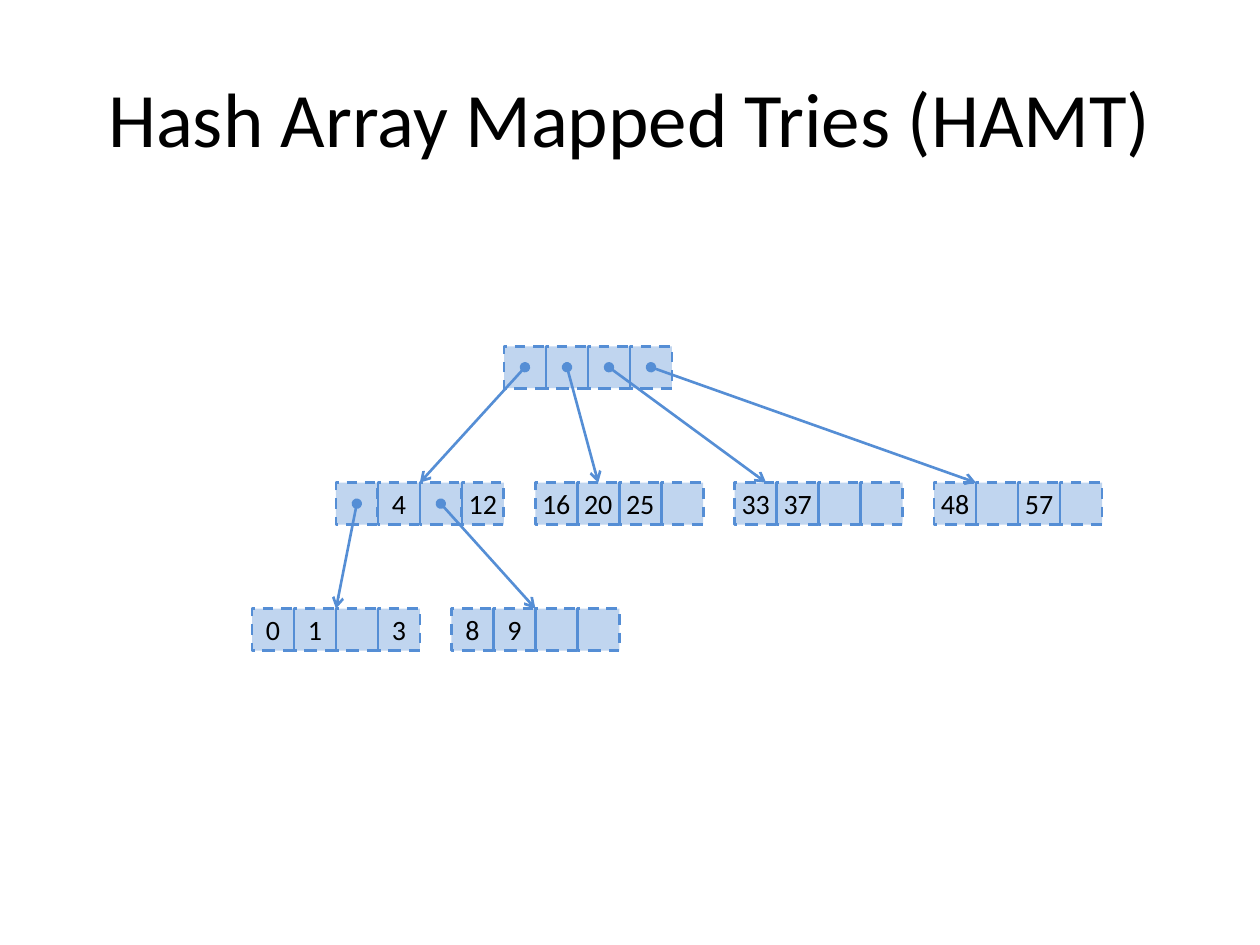
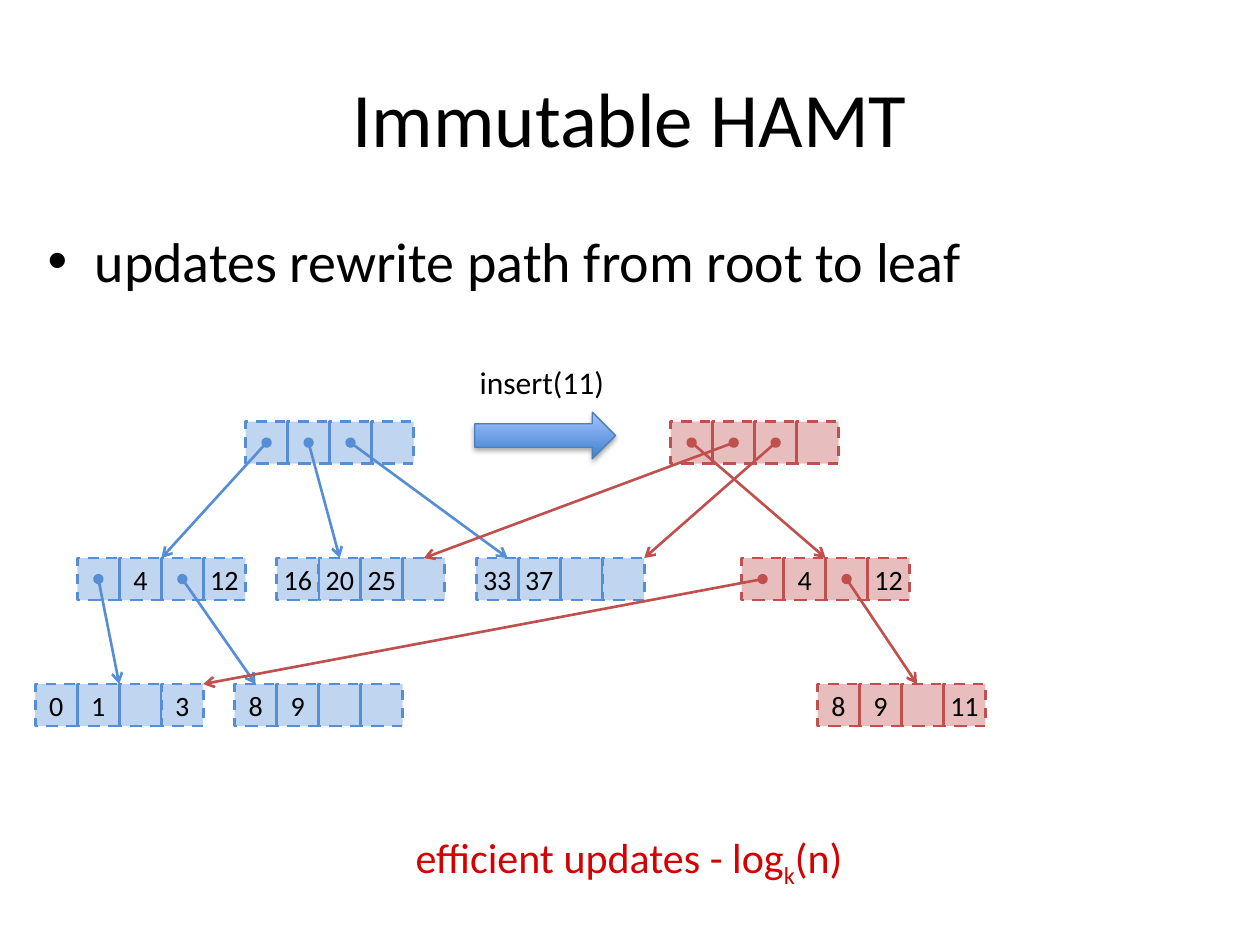
from dataclasses import dataclass

from pptx import Presentation
from pptx.dml.color import RGBColor
from pptx.enum.dml import MSO_LINE
from pptx.enum.shapes import MSO_CONNECTOR, MSO_SHAPE
from pptx.enum.text import MSO_ANCHOR as Anchor, PP_ALIGN as Align
from pptx.oxml.ns import qn
from pptx.oxml.xmlchemy import OxmlElement
from pptx.util import Cm, Pt

COLOURS = {
    "text": "000000",
    "highlight": "D50000",
    "old": "558ED5",
    "new": "C0504D",
    "arrow_bottom": "3F80CE",
    "arrow_top": "A4C4FF",
    "arrow_line": "4B7EBC",
}
FONT = "Calibri"
CELL = 2.54 / 3
NODE_PITCH = 4.02
LEVEL_DROPS = (0, 2.75, 5.29)
LINE_WIDTH = Pt(1.5)


@dataclass
class Node:
    left: float
    top: float

    def slot(self, index):
        """Centre of one cell, where a pointer starts."""
        return self.left + (index + 0.5) * CELL, self.top + CELL / 2

    def rim(self, cells):
        """Point on the top edge, counted in cells from the left."""
        return self.left + cells * CELL, self.top


def rgb(name):
    return RGBColor.from_string(COLOURS[name])


def add_child(parent, tag, **attributes):
    child = OxmlElement(tag)
    for key, value in attributes.items():
        child.set(key, str(value))
    parent.append(child)
    return child


def style_paragraph(para, size, colour="text", align=Align.LEFT):
    para.alignment = align
    para.font.name = FONT
    para.font.size = Pt(size)
    para.font.color.rgb = rgb(colour)


def add_text(slide, left, top, width, height, text, size, **style):
    box = slide.shapes.add_textbox(Cm(left), Cm(top), Cm(width), Cm(height))
    box.text_frame.word_wrap = True
    para = box.text_frame.paragraphs[0]
    para.text = text
    style_paragraph(para, size, **style)
    return box


def add_title(slide, text):
    box = add_text(slide, 1.27, 0.76, 22.86, 3.18, text, 44, align=Align.CENTER)
    box.text_frame.vertical_anchor = Anchor.MIDDLE


def add_bullet(slide, text):
    box = add_text(slide, 0.71, 4.45, 23.8, 2.03, text, 32)
    para = box.text_frame.paragraphs[0]
    para.space_before = Pt(6.4)
    properties = para._p.get_or_add_pPr()
    properties.set("marL", str(Cm(0.95)))
    properties.set("indent", str(Cm(-0.95)))
    add_child(properties, "a:buFont", typeface="Arial")
    add_child(properties, "a:buChar", char="•")


def add_cell(slide, left, top, text, colour):
    cell = slide.shapes.add_shape(
        MSO_SHAPE.RECTANGLE, Cm(left), Cm(top), Cm(CELL), Cm(CELL))
    cell.shadow.inherit = False
    cell.fill.solid()
    cell.fill.fore_color.rgb = rgb(colour)
    fill_colour = cell.element.spPr.find(qn("a:solidFill")).find(qn("a:srgbClr"))
    add_child(fill_colour, "a:alpha", val=37000)
    cell.line.color.rgb = rgb(colour)
    cell.line.width = LINE_WIDTH
    cell.line.dash_style = MSO_LINE.DASH
    if text:
        frame = cell.text_frame
        frame.word_wrap = False
        frame.vertical_anchor = Anchor.MIDDLE
        frame.text = text
        style_paragraph(frame.paragraphs[0], 16, align=Align.CENTER)


def add_node(slide, left, top, values, colour="old"):
    for index, value in enumerate(values):
        add_cell(slide, left + index * CELL, top, value, colour)
    return Node(left, top)


def add_level(slide, left, top, rows):
    return [add_node(slide, left + index * NODE_PITCH, top, values)
            for index, values in enumerate(rows)]


def add_pointer(slide, start, end, colour):
    pointer = slide.shapes.add_connector(
        MSO_CONNECTOR.STRAIGHT, *map(Cm, start + end))
    pointer.line.color.rgb = rgb(colour)
    pointer.line.width = LINE_WIDTH
    properties = pointer.element.spPr
    outline = properties.find(qn("a:ln"))
    add_child(outline, "a:headEnd", type="oval")
    add_child(outline, "a:tailEnd", type="arrow")
    add_child(properties, "a:effectLst")


def add_pointers(slide, links, colour="old"):
    """Each link is: parent node, slot, child node, cells along its rim."""
    for parent, index, child, cells in links:
        add_pointer(slide, parent.slot(index), child.rim(cells), colour)


def add_insert_arrow(slide):
    arrow = slide.shapes.add_shape(
        MSO_SHAPE.RIGHT_ARROW, Cm(9.57), Cm(8.31), Cm(2.84), Cm(0.94))
    arrow.fill.gradient()
    arrow.fill.gradient_angle = 90
    for stop, name in zip(arrow.fill.gradient_stops, ("arrow_bottom", "arrow_top")):
        stop.color.rgb = rgb(name)
    arrow.line.color.rgb = rgb("arrow_line")
    arrow.line.width = Pt(0.75)
    arrow.shadow.inherit = False
    effects = arrow.element.spPr.find(qn("a:effectLst"))
    shadow = add_child(effects, "a:outerShdw", blurRad=Pt(3.1), dist=Pt(1.8),
                       dir=90 * 60000, rotWithShape=0)
    shadow_colour = add_child(shadow, "a:srgbClr", val=COLOURS["text"])
    add_child(shadow_colour, "a:alpha", val=35000)


def add_cost_note(slide):
    box = add_text(slide, 8.13, 16.64, 9.37, 1.27, "efficient updates - log", 24,
                   colour="highlight")
    para = box.text_frame.paragraphs[0]
    subscript = para.add_run()
    subscript.text = "k"
    subscript._r.get_or_add_rPr().set("baseline", "-25000")
    para.add_run().text = "(n)"


def build_hamt(slide):
    add_title(slide, "Hash Array Mapped Tries (HAMT)")
    root_top, middle_top, leaf_top = (6.98 + drop for drop in LEVEL_DROPS)
    root = add_node(slide, 10.16, root_top, [""] * 4)
    middle = add_level(slide, 6.77, middle_top, [
        ("", "4", "", "12"), ("16", "20", "25", ""),
        ("33", "37", "", ""), ("48", "", "57", "")])
    leaves = add_level(slide, 5.08, leaf_top, [
        ("0", "1", "", "3"), ("8", "9", "", "")])
    add_pointers(slide, [
        (root, 0, middle[0], 2), (root, 1, middle[1], 1.5),
        (root, 2, middle[2], 0.75), (root, 3, middle[3], 1),
        (middle[0], 0, leaves[0], 2), (middle[0], 2, leaves[1], 2)])


def build_immutable_hamt(slide):
    add_title(slide, "Immutable HAMT")
    add_bullet(slide, "updates rewrite path from root to leaf")
    root_top, middle_top, leaf_top = (8.5 + drop for drop in LEVEL_DROPS)

    root = add_node(slide, 4.95, root_top, [""] * 4)
    middle = add_level(slide, 1.56, middle_top, [
        ("", "4", "", "12"), ("16", "20", "25", ""), ("33", "37", "", "")])
    leaves = add_level(slide, 0.71, leaf_top, [
        ("0", "1", "", "3"), ("8", "9", "", "")])
    add_pointers(slide, [
        (root, 0, middle[0], 2), (root, 1, middle[1], 1.5),
        (root, 2, middle[2], 0.75),
        (middle[0], 0, leaves[0], 2), (middle[0], 2, leaves[1], 0.5)])

    new_root = add_node(slide, 13.52, root_top, [""] * 4, "new")
    new_middle = add_node(slide, 14.95, middle_top, ("", "4", "", "12"), "new")
    new_leaf = add_node(slide, 16.48, leaf_top, ("8", "9", "", "11"), "new")
    add_pointers(slide, [
        (new_middle, 2, new_leaf, 2.37), (new_root, 0, new_middle, 2),
        (new_root, 1, middle[1], 3.5), (new_root, 2, middle[2], 4),
        (new_middle, 0, leaves[0], 4)], "new")

    add_insert_arrow(slide)
    add_text(slide, 9.42, 7.19, 3.53, 1.02, "insert(11)", 18)
    add_cost_note(slide)


def main():
    deck = Presentation()
    deck.slide_width, deck.slide_height = Cm(25.4), Cm(19.05)
    for build in (build_hamt, build_immutable_hamt):
        build(deck.slides.add_slide(deck.slide_layouts[6]))
    deck.save("out.pptx")


if __name__ == "__main__":
    main()
